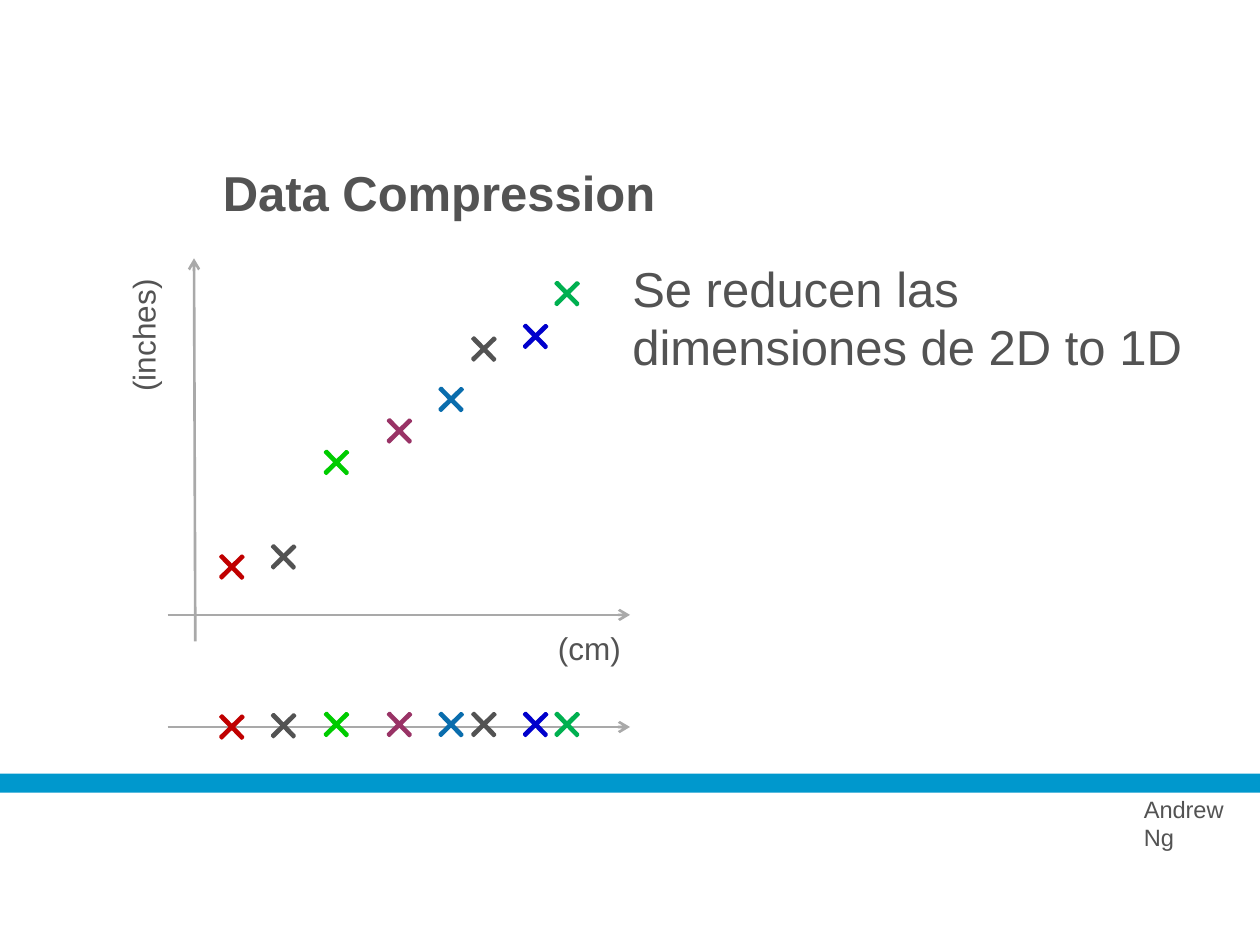
from typing import NamedTuple

from lxml import etree
from pptx import Presentation
from pptx import util as u
from pptx.dml.color import RGBColor
from pptx.enum import shapes, text
from pptx.oxml import ns

PX = 9144  # EMU per px, at 100 px to the inch
COLORS = {
    "ink": "535353", "axis": "A9A9A9", "band": "0098CD",
    "red": "C00000", "lime": "00CC00", "plum": "993366",
    "blue": "0A6DAD", "navy": "0000CC", "green": "00B050",
}
MARK_SIZE = 24


class Sample(NamedTuple):
    left: int
    plot_top: int
    line_top: int
    color: str


class Axis(NamedTuple):
    start: tuple[int, int]
    end: tuple[int, int]


class Label(NamedTuple):
    words: str
    box: tuple[int, int, int, int]
    size: float
    bold: bool = False
    rotation: int = 0


SAMPLES = [
    Sample(172, 438, 565, "red"),
    Sample(213, 430, 564, "ink"),
    Sample(255, 355, 563, "lime"),
    Sample(305, 330, 563, "plum"),
    Sample(346, 305, 563, "blue"),
    Sample(372, 265, 563, "ink"),
    Sample(413, 255, 563, "navy"),
    Sample(438, 221, 563, "green"),
]
PLOT_AXES = [Axis((155, 509), (154, 205)), Axis((133, 488), (500, 488))]
REDUCED_AXIS = Axis((133, 577), (500, 577))
TITLE = Label("Data Compression", (167, 124, 783, 57), 28, bold=True)
LABELS = [
    Label("(inches)", (56, 243, 115, 40), 18, rotation=270),
    Label("(cm)", (433, 494, 115, 40), 18),
    Label("Andrew Ng", (898, 626, 106, 33), 13.5),
    Label("Se reducen las dimensiones de 2D to 1D", (492, 200, 478, 104), 28),
]


def px(*lengths: int) -> list[u.Emu]:
    return [u.Emu(length * PX) for length in lengths]


def rgb(name: str) -> RGBColor:
    return RGBColor.from_string(COLORS[name])


def draw_band(slide) -> None:
    band = slide.shapes.add_shape(
        shapes.MSO_SHAPE.RECTANGLE, *px(0, 614, 1000, 15))
    band.shadow.inherit = False
    band.fill.solid()
    band.fill.fore_color.rgb = rgb("band")
    band.line.fill.background()


def draw_axis(slide, axis: Axis) -> None:
    arrow = slide.shapes.add_connector(
        shapes.MSO_CONNECTOR.STRAIGHT, *px(*axis.start, *axis.end))
    arrow.line.color.rgb = rgb("axis")
    arrow.line.width = u.Pt(1.5)
    etree.SubElement(arrow.line._get_or_add_ln(), ns.qn("a:tailEnd"), type="arrow")
    etree.SubElement(arrow._element.spPr, ns.qn("a:effectLst"))


def draw_mark(slide, left: int, top: int, color: str) -> None:
    """Draw a sample as a thin plus turned into a cross."""
    mark = slide.shapes.add_shape(
        shapes.MSO_SHAPE.CROSS, *px(left, top, MARK_SIZE, MARK_SIZE))
    mark.adjustments[0] = 0.466
    mark.rotation = 45.6
    mark.shadow.inherit = False
    mark.fill.solid()
    mark.fill.fore_color.rgb = rgb(color)
    mark.line.color.rgb = rgb(color)
    mark.line.width = u.Pt(1.5)


def draw_label(slide, label: Label) -> None:
    box = slide.shapes.add_textbox(*px(*label.box))
    box.rotation = label.rotation
    frame = box.text_frame
    frame.word_wrap = True
    frame.auto_size = text.MSO_AUTO_SIZE.SHAPE_TO_FIT_TEXT
    run = frame.paragraphs[0].add_run()
    run.text = label.words
    font_format = {"name": "Arial", "size": u.Pt(label.size), "bold": label.bold}
    for attribute, value in font_format.items():
        setattr(run.font, attribute, value)
    run.font.color.rgb = rgb("ink")


def main() -> None:
    deck = Presentation()
    deck.slide_width, deck.slide_height = px(1000, 750)
    slide = deck.slides.add_slide(deck.slide_layouts[6])

    draw_band(slide)
    draw_label(slide, TITLE)
    for axis in PLOT_AXES:
        draw_axis(slide, axis)
    for sample in SAMPLES:
        draw_mark(slide, sample.left, sample.plot_top, sample.color)
    draw_axis(slide, REDUCED_AXIS)
    for sample in SAMPLES:
        draw_mark(slide, sample.left, sample.line_top, sample.color)
    for label in LABELS:
        draw_label(slide, label)

    deck.save("out.pptx")


if __name__ == "__main__":
    main()
